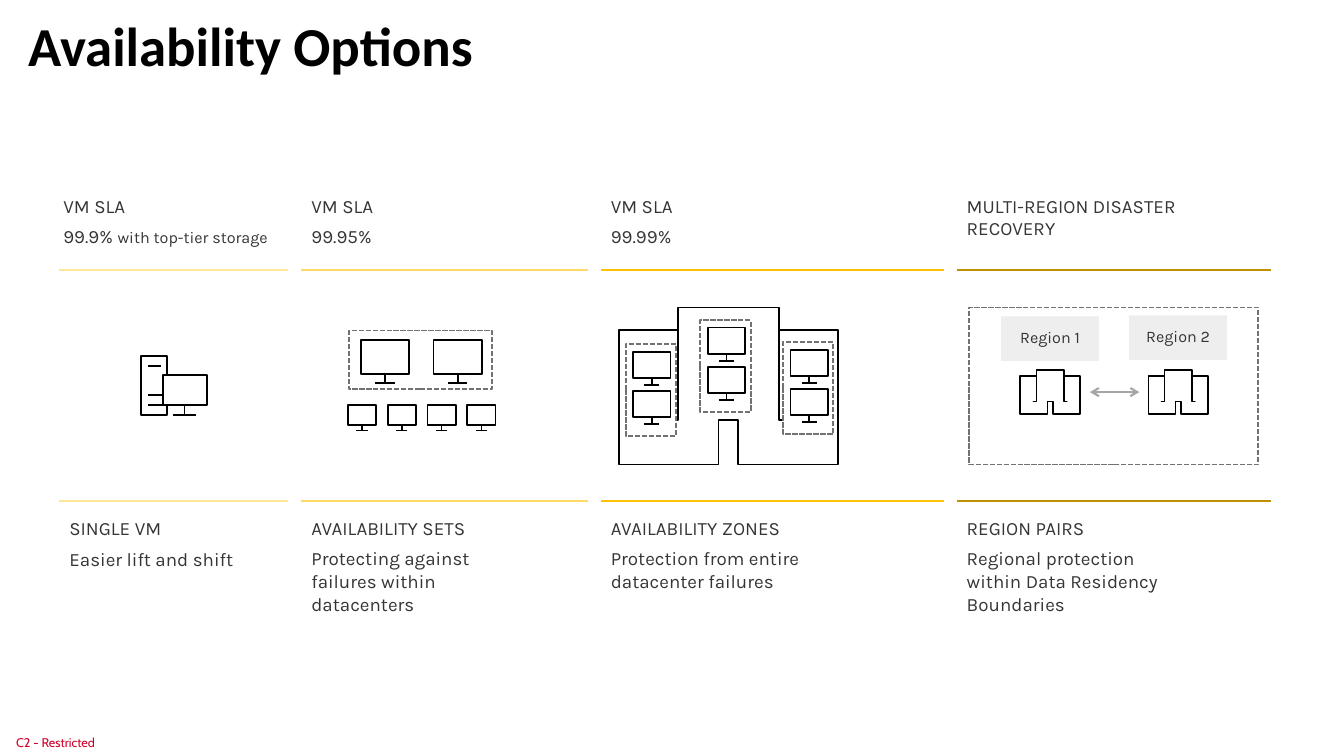
from lxml.etree import SubElement
from pptx import Presentation
from pptx.dml.color import RGBColor as RGB
from pptx.enum.dml import MSO_LINE as Dash
from pptx.enum.shapes import MSO_CONNECTOR as Conn, MSO_SHAPE as Kind
from pptx.enum.text import MSO_ANCHOR as Anchor, PP_ALIGN as Align
from pptx.oxml.ns import qn
from pptx.util import Inches, Pt

BLACK = RGB(0x00, 0x00, 0x00)
WHITE = RGB(0xFF, 0xFF, 0xFF)
INK = RGB(0x35, 0x35, 0x35)
RED = RGB(0xCF, 0x02, 0x2B)
GREY = RGB(0x76, 0x71, 0x71)
SILVER = RGB(0xA6, 0xA6, 0xA6)
PALE = RGB(0xEE, 0xEE, 0xEE)
CREAM = RGB(0xFF, 0xE6, 0x99)
SAND = RGB(0xFF, 0xD9, 0x66)
AMBER = RGB(0xFF, 0xC0, 0x00)
GOLD = RGB(0xBF, 0x90, 0x00)

BODY, SMALL = 13.4, 11.5
RULES = (2.68, 4.97)
COLUMNS = [
    (0.59, 2.27, CREAM, "SINGLE VM", 1.17, "Easier lift and shift", 0.38),
    (2.99, 2.84, SAND, "AVAILABILITY SETS", 1.83,
     "Protecting against failures within datacenters", 0.64),
    (5.96, 3.4, AMBER, "AVAILABILITY ZONES", 2.02,
     "Protection from entire datacenter failures", 0.64),
    (9.49, 3.12, GOLD, "REGION PAIRS", 1.44,
     "Regional protection within Data Residency Boundaries", 0.64),
]
TOPS = [
    (0.53, "VM SLA", [("99.9% ", BODY), ("with top-tier storage", SMALL)], 2.27, True),
    (2.99, "VM SLA", "99.95%", 0.85, False),
    (5.96, "VM SLA", "99.99%", 0.85, False),
]
TOWER = [
    [(1.62, 3.72), (2.05, 3.72), (2.05, 4.02), (1.62, 4.02), (1.62, 3.72)],
    [(1.83, 4.02), (1.83, 4.12)],
    [(1.72, 4.12), (1.94, 4.12)],
    [(1.47, 3.63), (1.6, 3.63)],
    [(1.47, 4.02), (1.62, 4.02)],
    [(1.47, 3.92), (1.62, 3.92)],
    [(1.66, 3.72), (1.66, 3.53), (1.4, 3.53), (1.4, 4.12), (1.66, 4.12), (1.66, 4.02)],
]
SCREEN = [
    [(1, 0.35), (1, 0.79), (0, 0.79), (0, 0), (1, 0), (1, 0.35)],
    [(0.5, 0.79), (0.5, 1)],
    [(0.3, 1), (0.7, 1)],
]
HOUSE = [[
    (0.455, 1), (0, 1), (0, 0.145), (0.27, 0.145), (0.27, 0.715), (0.22, 0.715),
    (0.27, 0.715), (0.27, 0), (0.73, 0), (0.73, 0.715), (0.78, 0.715), (0.73, 0.715),
    (0.73, 0.145), (1, 0.145), (1, 1), (0.545, 1), (0.545, 0.715), (0.455, 0.715),
    (0.455, 1),
]]
ZONES = [(6, 3.62), (6.74, 3.38), (7.56, 3.6)]
REGIONS = [("Region 1", 9.93, 3.14, 10.12), ("Region 2", 11.2, 3.13, 11.39)]

deck = Presentation()
deck.slide_width, deck.slide_height = Inches(13.33), Inches(7.5)
slide = deck.slides.add_slide(deck.slide_layouts[6])
shapes = slide.shapes


def write(text, at=None, shape=None, size=BODY, font="Karla", color=INK, bold=False,
          wrap=True, anchor=Anchor.TOP, align=Align.LEFT, space=None,
          pad=(0.1, 0.05, 0.1, 0.05)):
    box = shape or shapes.add_textbox(*map(Inches, at))
    frame = box.text_frame
    frame.word_wrap = wrap
    frame.vertical_anchor = anchor
    (frame.margin_left, frame.margin_top,
     frame.margin_right, frame.margin_bottom) = map(Inches, pad)
    para = frame.paragraphs[0]
    para.alignment = align
    if space:
        para.line_spacing = space
    for words, points in [(text, size)] if isinstance(text, str) else text:
        run = para.add_run()
        run.text = words
        run.font.size = Pt(points)
        run.font.name = font
        run.font.bold = bold
        run.font.color.rgb = color


def rule(x, y, width, color, weight=1.25, heads=False):
    line = shapes.add_connector(Conn.STRAIGHT, Inches(x), Inches(y),
                                Inches(x + width), Inches(y))
    line.line.color.rgb = color
    line.line.width = Pt(weight)
    props = line.line._get_or_add_ln()
    if heads:
        for end in ("a:headEnd", "a:tailEnd"):
            SubElement(props, qn(end), type="arrow")
    SubElement(line._element.spPr, qn("a:effectLst"))


def rect(x, y, width, height, fill=None, dash=False, turn=0):
    box = shapes.add_shape(Kind.RECTANGLE, *map(Inches, (x, y, width, height)))
    box.shadow.inherit = False
    box.rotation = turn
    if fill is None:
        box.fill.background()
    else:
        box.fill.solid()
        box.fill.fore_color.rgb = fill
    if dash:
        box.line.color.rgb = GREY
        box.line.width = Pt(1.25)
        box.line.dash_style = Dash.SQUARE_DOT
    else:
        box.line.fill.background()
    return box


def draw(strokes, x=0, y=0, width=1, height=1):
    paths = [[(Inches(x + a * width), Inches(y + b * height)) for a, b in stroke]
             for stroke in strokes]
    pen = shapes.build_freeform(*paths[0][0], scale=1.0)
    for index, path in enumerate(paths):
        if index:
            pen.move_to(*path[0])
        pen.add_line_segments(path[1:], close=strokes is HOUSE)
    form = pen.convert_to_shape()
    form.shadow.inherit = False
    form.fill.background()
    form.line.color.rgb = BLACK
    form.line.width = Pt(1.25)


write("C2 - Restricted", (0, 7.23, 1.11, 0.27), size=9, font="Cabin", color=RED,
      anchor=Anchor.MIDDLE, pad=(0.16, 0, 0, 0))
write("Availability Options", (0.18, 0.05, 4.89, 0.86), size=39.2, font="Calibri",
      color=BLACK, bold=True, anchor=Anchor.MIDDLE, space=0.9)

for x, width, color, name, span, note, tall in COLUMNS:
    for y in RULES:
        rule(x, y, width, color)
    write(name, (x, 5.08, span, 0.38), wrap=False)
    write(note, (x, 5.38, 2.4, tall))

for x, label, level, span, wrap in TOPS:
    write(label, (x, 1.88, 0.87, 0.37), wrap=False)
    write(level, (x, 2.18, span, 0.37), wrap=wrap)
write("MULTI-REGION DISASTER RECOVERY", (9.49, 1.88, 3, 0.64))

draw(TOWER)

for x in (3.58, 4.3):
    draw(SCREEN, x, 3.37, 0.48, 0.43)
rect(3.46, 3.28, 1.42, 0.58, dash=True)
for index in range(4):
    draw(SCREEN, 3.45 + index * 0.395, 4.02, 0.28, 0.25)

rect(9.61, 3.05, 2.87, 1.56, dash=True)
for name, x, y, left in REGIONS:
    write(name, shape=rect(x, y, 0.97, 0.44, fill=PALE), size=SMALL,
          anchor=Anchor.MIDDLE, align=Align.CENTER, space=0.9, pad=(0, 0, 0, 0))
    draw(HOUSE, left, 3.67, 0.59, 0.44)
rule(10.81, 3.89, 0.49, SILVER, weight=1.5, heads=True)

draw(HOUSE, 6.14, 3.05, 2.17, 1.56)
for x, y in ZONES:
    rect(x, y, 0.91, 0.5, fill=WHITE, dash=True, turn=90)
    for drop in (-0.13, 0.26):
        draw(SCREEN, x + 0.28, y + drop, 0.37, 0.33)

deck.save("out.pptx")
